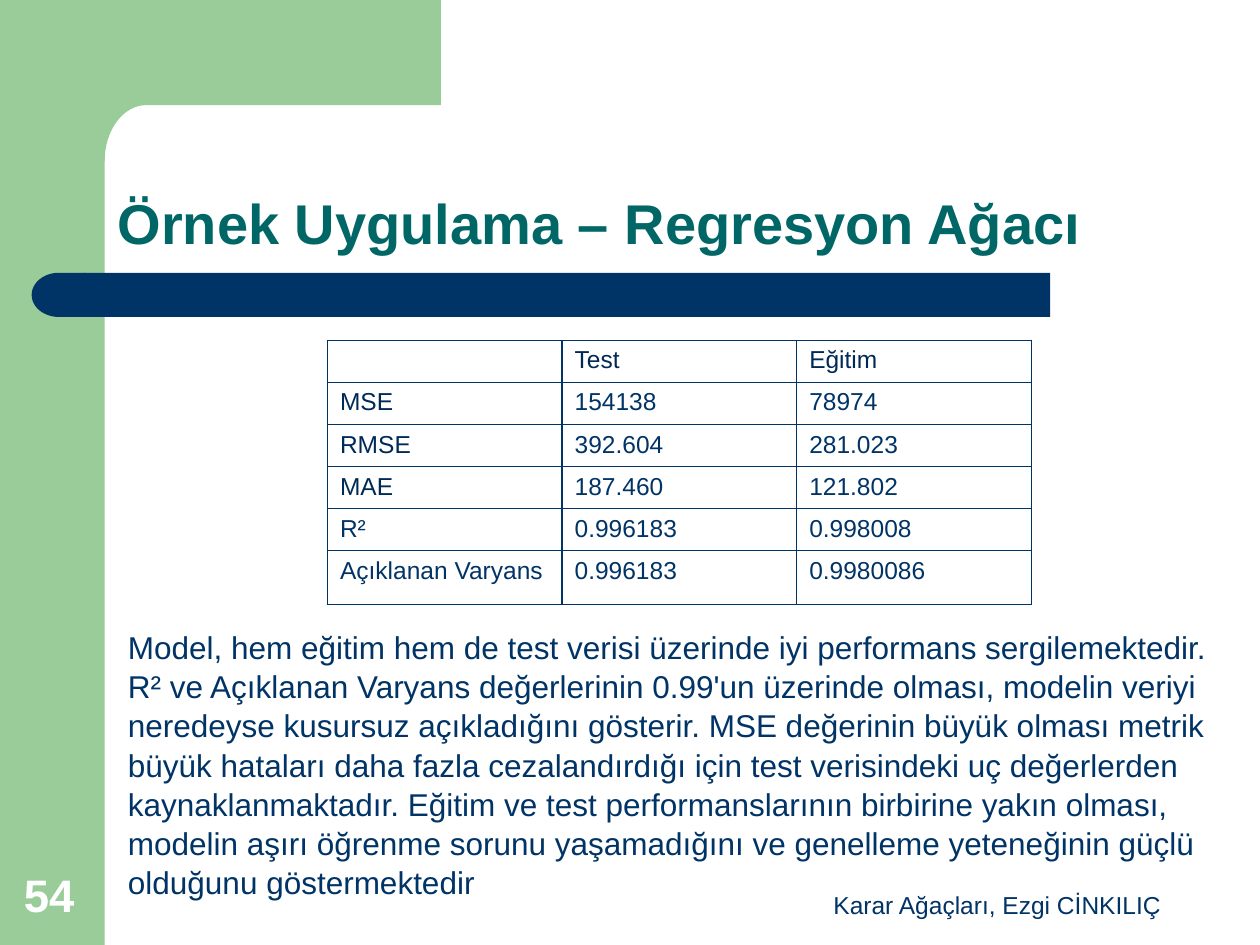
from math import cos, pi, sin

from lxml.etree import SubElement
from pptx import Presentation
from pptx.dml.color import RGBColor
from pptx.enum.shapes import MSO_SHAPE
from pptx.enum.text import MSO_ANCHOR, PP_ALIGN
from pptx.oxml.ns import qn
from pptx.util import Cm, Pt

COLOURS = {
    "green": "99CC99",
    "navy": "003366",
    "dark navy": "002A56",
    "teal": "006666",
    "white": "FFFFFF",
}

METRICS = [
    ("", "Test", "Eğitim"),
    ("MSE", "154138", "78974"),
    ("RMSE", "392.604", "281.023"),
    ("MAE", "187.460", "121.802"),
    ("R²", "0.996183", "0.998008"),
    ("Açıklanan Varyans", "0.996183", "0.9980086"),
]

COMMENTARY = (
    "Model, hem eğitim hem de test verisi üzerinde iyi performans sergilemektedir. "
    "R² ve Açıklanan Varyans değerlerinin 0.99'un üzerinde olması, modelin veriyi "
    "neredeyse kusursuz açıkladığını gösterir. MSE değerinin büyük olması metrik "
    "büyük hataları daha fazla cezalandırdığı için test verisindeki uç değerlerden "
    "kaynaklanmaktadır. Eğitim ve test performanslarının birbirine yakın olması, "
    "modelin aşırı öğrenme sorunu yaşamadığını ve genelleme yeteneğinin güçlü "
    "olduğunu göstermektedir"
)


def colour(name):
    return RGBColor.from_string(COLOURS[name])


class SlideWriter:
    """Holds the style and the current page; all lengths are centimetres."""

    font = "Arial"

    def __init__(self, page):
        self.page = page

    def paint(self, shape, fill):
        shape.shadow.inherit = False
        shape.fill.solid()
        shape.fill.fore_color.rgb = colour(fill)
        shape.line.fill.background()

    def shape(self, kind, left, top, width, height, fill, mirrored=False):
        shape = self.page.shapes.add_shape(
            kind, Cm(left), Cm(top), Cm(width), Cm(height))
        self.paint(shape, fill)
        if mirrored:
            shape._element.spPr.xfrm.set("flipH", "1")

    def outline(self, points, fill):
        corners = [(Cm(x), Cm(y)) for x, y in points]
        builder = self.page.shapes.build_freeform(*corners[0])
        builder.add_line_segments(corners[1:], close=True)
        self.paint(builder.convert_to_shape(), fill)

    def span(self, para, text, size, ink, bold=False):
        span = para.add_run()
        span.text = text
        span.font.name = self.font
        span.font.size = Pt(size)
        span.font.bold = bold
        span.font.color.rgb = colour(ink)

    def text(self, text, left, top, width, height, size, ink, bold=False,
             anchor=MSO_ANCHOR.BOTTOM, align=PP_ALIGN.LEFT, spacing=1.0):
        box = self.page.shapes.add_textbox(
            Cm(left), Cm(top), Cm(width), Cm(height))
        frame = box.text_frame
        frame.word_wrap = True
        frame.vertical_anchor = anchor
        para = frame.paragraphs[0]
        para.alignment = align
        para.line_spacing = spacing
        self.span(para, text, size, ink, bold)

    def border(self, cell, ink):
        properties = cell._tc.get_or_add_tcPr()
        for position, side in enumerate(("lnL", "lnR", "lnT", "lnB")):
            line = properties.makeelement(qn(f"a:{side}"), {"w": str(Pt(1))})
            fill = SubElement(line, qn("a:solidFill"))
            SubElement(fill, qn("a:srgbClr"), val=COLOURS[ink])
            properties.insert(position, line)

    def table(self, rows, left, top, column_width, row_heights, size, ink_at):
        """ink_at(row, column) names the text colour of a cell."""
        columns = len(rows[0])
        table = self.page.shapes.add_table(
            len(rows), columns, Cm(left), Cm(top),
            Cm(column_width * columns), Cm(sum(row_heights))).table
        table.first_row = table.horz_banding = False
        for column in table.columns:
            column.width = Cm(column_width)
        for r, (values, height) in enumerate(zip(rows, row_heights)):
            table.rows[r].height = Cm(height)
            for c, value in enumerate(values):
                cell = table.cell(r, c)
                cell.fill.background()
                self.border(cell, "navy")
                para = cell.text_frame.paragraphs[0]
                if value:
                    self.span(para, value, size, ink_at(r, c))
                else:
                    para.font.size = Pt(size)


def corner_band():
    """Top band whose inner corner is a quarter ellipse."""
    side, right, bottom, elbow = 2.11, 8.89, 2.12, 3.25
    across, steps = 0.84, 16
    angles = [pi / 2 * step / steps for step in range(steps + 1)]
    curve = [(side + across * (1 - sin(a)), elbow - (elbow - bottom) * cos(a))
             for a in angles]
    return [(1.27, 0), (right, 0), (right, bottom), (side + across, bottom),
            *curve, (1.27, elbow)]


def metric_ink(row, column):
    is_dark = row == 0 or (column == 0 and row <= 3)
    return "dark navy" if is_dark else "navy"


def main():
    deck = Presentation()
    deck.slide_width, deck.slide_height = Cm(25.4), Cm(19.05)
    writer = SlideWriter(deck.slides.add_slide(deck.slide_layouts[6]))

    writer.shape(MSO_SHAPE.RECTANGLE, 0, 0, 2.11, 19.05, "green")
    # The curve runs from the top of the band down to the side bar.
    writer.outline(
        [(x, y) for x, y in corner_band()], "green")
    writer.shape(MSO_SHAPE.RECTANGLE, 1.7, 5.5, 19.47, 0.89, "navy")
    writer.shape(MSO_SHAPE.FLOWCHART_DELAY, 0.64, 5.5, 1.09, 0.89, "navy",
                 mirrored=True)

    writer.text("Örnek Uygulama – Regresyon Ağacı", 2.12, 2.12, 22.02, 3.17,
                32, "teal", bold=True, spacing=0.9)
    writer.table(METRICS, 6.6, 6.86, 4.73, [0.8] * 5 + [1.09], 14, metric_ink)
    writer.text(COMMENTARY, 2.33, 12.5, 22.78, 5.6, 18, "navy",
                anchor=MSO_ANCHOR.TOP, spacing=1.04)
    writer.text("54", 0.23, 17.35, 1.63, 1.35, 26, "white", bold=True)
    writer.text("Karar Ağaçları, Ezgi CİNKILIÇ", 16.08, 17.35, 8.05, 1.32,
                14, "navy", align=PP_ALIGN.CENTER)

    deck.save("out.pptx")


if __name__ == "__main__":
    main()
